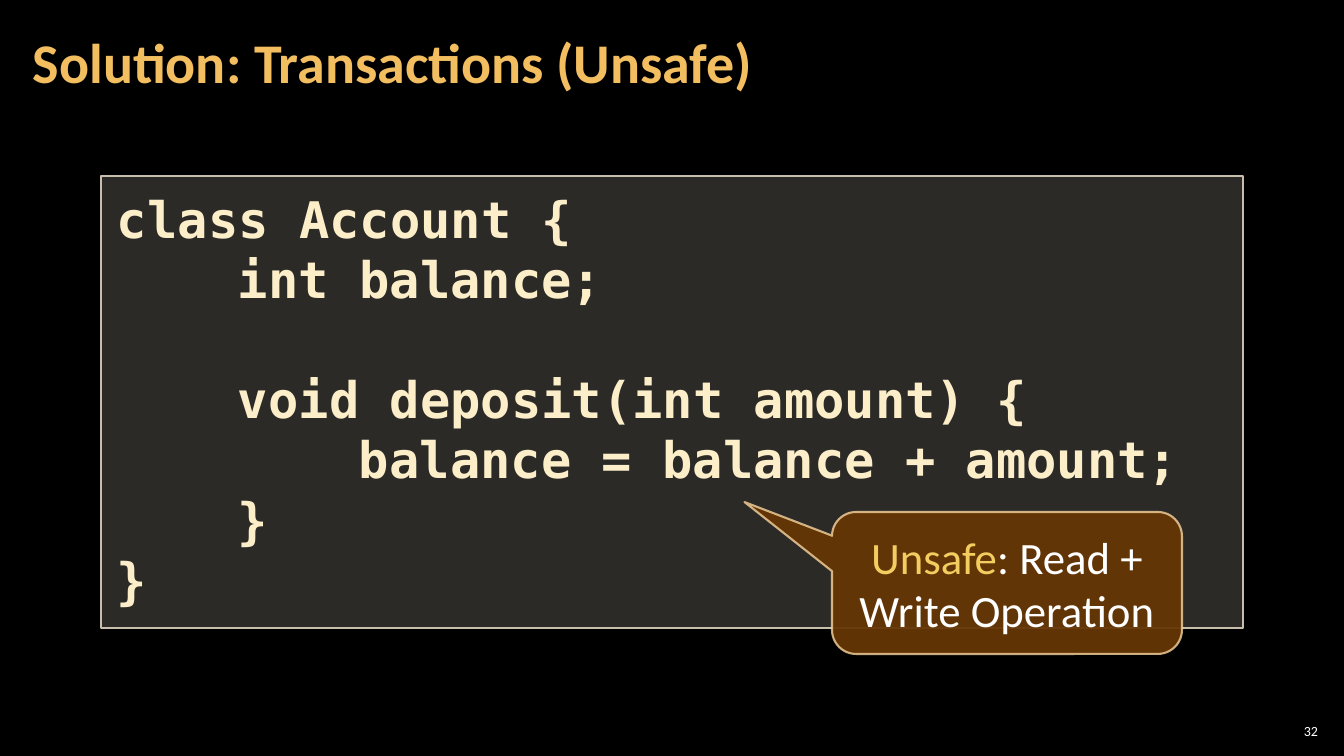
import pptx
import pptx.util
import pptx.dml.color
import pptx.enum.shapes
import pptx.enum.text
import pptx.oxml.ns
import lxml.etree

RGB = pptx.dml.color.RGBColor
SHAPE = pptx.enum.shapes.MSO_SHAPE
ANCHOR = pptx.enum.text.MSO_ANCHOR
ALIGN = pptx.enum.text.PP_ALIGN

BLACK = RGB(0x00, 0x00, 0x00)
WHITE = RGB(0xFF, 0xFF, 0xFF)
ORANGE = RGB(0xF3, 0xBE, 0x60)
CREAM = RGB(0xFB, 0xEE, 0xC9)
STONE = RGB(0xD9, 0xD5, 0xC7)
STONE_EDGE = RGB(0xC7, 0xBF, 0xAC)
BROWN = RGB(0x66, 0x36, 0x06)
BROWN_EDGE = RGB(0xF8, 0xD4, 0x9E)
YELLOW = RGB(0xF3, 0xCD, 0x60)

PX_PER_INCH = 100.8
CODE_SIZE = 36
CODE_LINE = 42
CODE_INDENT = 121
CODE = [
    (0, 0, "class Account {"),
    (1, 0, "int balance;"),
    (1, 1, "void deposit(int amount) {"),
    (2, 0, "balance = balance + amount;"),
    (1, 0, "}"),
    (0, 0, "}"),
]


def px(n):
    return pptx.util.Emu(round(n * 914400 / PX_PER_INCH))


def set_alpha(fill, percent):
    color = fill._xPr.find(".//" + pptx.oxml.ns.qn("a:srgbClr"))
    alpha = lxml.etree.SubElement(color, pptx.oxml.ns.qn("a:alpha"))
    alpha.set("val", str(percent * 1000))


def set_frame(tf, inset, anchor):
    tf.word_wrap = True
    tf.vertical_anchor = anchor
    tf.margin_left = tf.margin_right = px(inset[0])
    tf.margin_top = tf.margin_bottom = px(inset[1])


def add_run(p, text, size=32, color=WHITE, font="Calibri", bold=False):
    r = p.add_run()
    r.text = text
    r.font.size = pptx.util.Pt(size)
    r.font.name = font
    r.font.bold = bold
    r.font.color.rgb = color


def add_label(s, box, text, inset=(4, 4), align=ALIGN.LEFT, spacing=1.0, **fmt):
    tf = s.shapes.add_textbox(*map(px, box)).text_frame
    set_frame(tf, inset, ANCHOR.MIDDLE)
    p = tf.paragraphs[0]
    p.alignment = align
    p.line_spacing = spacing
    add_run(p, text, **fmt)


def add_panel(s, kind, box, fill, alpha, edge, width, edge_alpha=100):
    sp = s.shapes.add_shape(kind, *map(px, box))
    sp.shadow.inherit = False
    sp.fill.solid()
    sp.fill.fore_color.rgb = fill
    set_alpha(sp.fill, alpha)
    sp.line.color.rgb = edge
    sp.line.width = pptx.util.Pt(width)
    if edge_alpha < 100:
        set_alpha(sp.line.fill, edge_alpha)
    return sp


def add_code(s, box):
    sp = add_panel(s, SHAPE.RECTANGLE, box, STONE, 20, STONE_EDGE, 1)
    tf = sp.text_frame
    set_frame(tf, (16, 12), ANCHOR.TOP)
    for i, (depth, gap, text) in enumerate(CODE):
        p = tf.add_paragraph() if i else tf.paragraphs[0]
        p.alignment = ALIGN.LEFT
        p.space_before = pptx.util.Pt(gap * CODE_LINE)
        p._p.get_or_add_pPr().set("marL", str(px(depth * CODE_INDENT)))
        add_run(p, text, size=CODE_SIZE, color=CREAM, font="DejaVu Sans Mono", bold=True)


def add_callout(s, box, tip, term, text):
    sp = add_panel(s, SHAPE.ROUNDED_RECTANGULAR_CALLOUT, box, BROWN, 95, BROWN_EDGE, 1.5, 80)
    for i, value in enumerate((*tip, 0.17)):
        sp.adjustments[i] = value
    tf = sp.text_frame
    set_frame(tf, (10, 5), ANCHOR.MIDDLE)
    p = tf.paragraphs[0]
    p.alignment = ALIGN.CENTER
    add_run(p, term, color=YELLOW)
    add_run(p, text)


def main():
    prs = pptx.Presentation()
    prs.slide_width = px(1344)
    prs.slide_height = px(756)
    s = prs.slides.add_slide(prs.slide_layouts[6])
    s.background.fill.solid()
    s.background.fill.fore_color.rgb = BLACK
    add_label(s, (1275, 720, 47, 21), "32", align=ALIGN.RIGHT, size=10)
    add_label(s, (21, 4, 1055, 122), "Solution: Transactions (Unsafe)",
              inset=(12, 4), spacing=0.9, size=40, color=ORANGE, bold=True)
    add_code(s, (101, 176, 1142, 452))
    add_callout(s, (832, 512, 350, 142), (-0.75, -0.57),
                "Unsafe", ": Read + Write Operation")
    prs.save("out.pptx")


if __name__ == "__main__":
    main()
